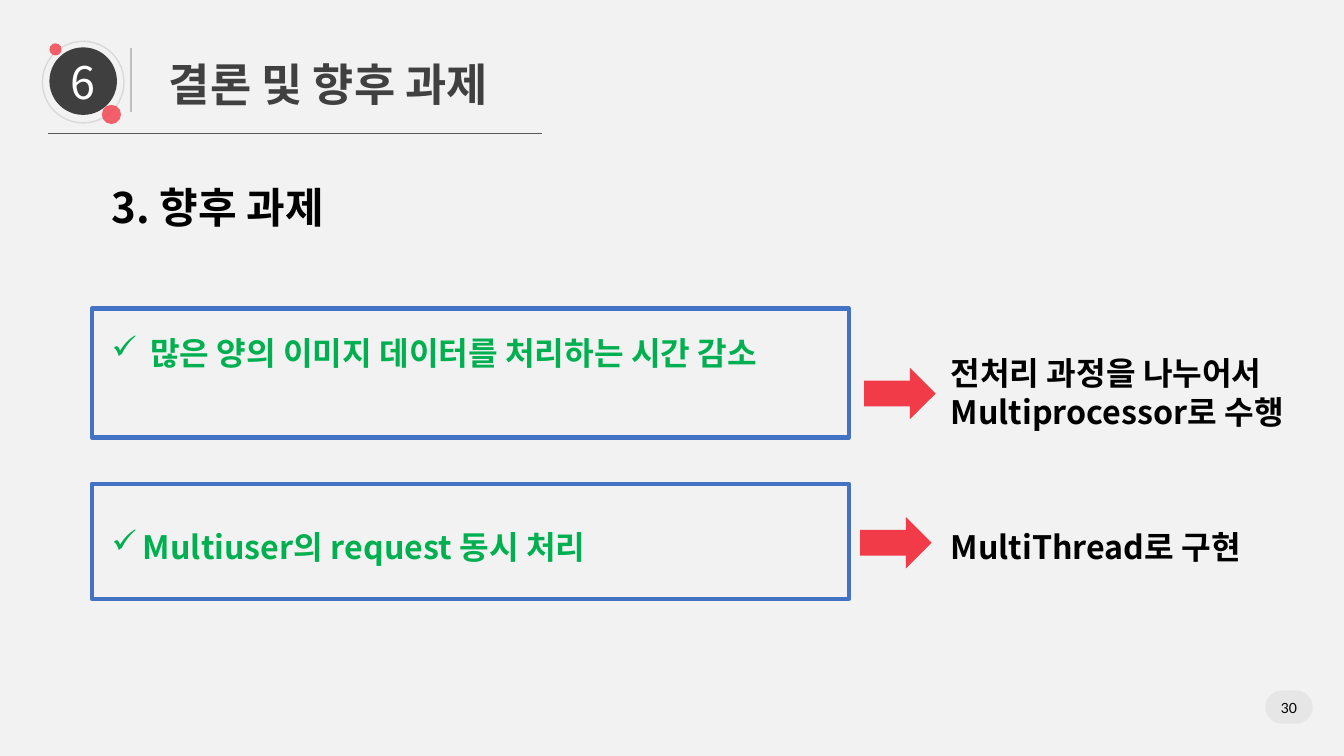
from dataclasses import dataclass

import pptx
import pptx.dml.color
import pptx.enum.shapes
import pptx.enum.text
import pptx.oxml
import pptx.oxml.ns
import pptx.util

Inches = pptx.util.Inches
Shapes = pptx.enum.shapes.MSO_SHAPE
Align = pptx.enum.text.PP_ALIGN
Anchor = pptx.enum.text.MSO_ANCHOR
qn = pptx.oxml.ns.qn


@dataclass(frozen=True)
class Theme:
    background: str = "F2F2F2"
    title: str = "404040"
    badge: str = "3F3F3F"
    ring: str = "D9D9D9"
    divider: str = "BFBFBF"
    underline: str = "595959"
    accent: str = "F23B48"
    frame: str = "4472C4"
    task: str = "00B050"
    pill: str = "E7E6E6"
    ink: str = "000000"
    white: str = "FFFFFF"
    korean: str = "Noto Sans CJK KR"
    body: str = "Noto Sans CJK SC"
    number: str = "Lato"
    title_size: int = 32
    heading_size: int = 30
    task_size: int = 23
    number_size: int = 10


THEME = Theme()


def rgb(value):
    return pptx.dml.color.RGBColor.from_string(value)


def add_child(parent, tag, **attributes):
    child = parent.makeelement(qn(tag), attributes)
    parent.append(child)
    return child


def write(frame, text, *, size, color, font=THEME.body, bold=False,
          align=Align.LEFT, anchor=Anchor.TOP, hanging=0):
    frame.word_wrap = True
    frame.vertical_anchor = anchor
    para = frame.paragraphs[0]
    para.alignment = align
    if hanging:
        properties = para._p.get_or_add_pPr()
        properties.set("marL", str(Inches(hanging)))
        properties.set("indent", str(-Inches(hanging)))
        add_child(properties, "a:buChar", char="✓")
    span = para.add_run()
    span.text = text
    span.font.size = pptx.util.Pt(size)
    span.font.bold = bold
    span.font.color.rgb = rgb(color)
    span.font.name = font
    add_child(span._r.get_or_add_rPr(), "a:ea", typeface=font)


def add_text(page, box, text, **style):
    frame = page.shapes.add_textbox(*map(Inches, box)).text_frame
    write(frame, text, **style)
    return frame


def add_shape(shapes, kind, box, *, fill=None, line=None, width=1, alpha=None):
    shape = shapes.add_shape(kind, *map(Inches, box))
    shape.shadow.inherit = False
    if fill:
        shape.fill.solid()
        shape.fill.fore_color.rgb = rgb(fill)
        if alpha:
            color = shape._element.spPr.find(qn("a:solidFill"))[0]
            add_child(color, "a:alpha", val=str(alpha * 1000))
    else:
        shape.fill.background()
    if line:
        shape.line.color.rgb = rgb(line)
        shape.line.width = pptx.util.Pt(width)
    else:
        shape.line.fill.background()
    return shape


def add_line(page, start, end, color, width):
    line = page.shapes.add_connector(
        pptx.enum.shapes.MSO_CONNECTOR.STRAIGHT, *map(Inches, start + end))
    line.line.color.rgb = rgb(color)
    line.line.width = pptx.util.Pt(width)
    add_child(line._element.spPr, "a:effectLst")


def add_badge(page, box, text):
    left, top, side = box
    group = page.shapes.add_group_shape().shapes
    disc = add_shape(group, Shapes.OVAL,
                     (left + 0.07, top + 0.06, side - 0.14, side - 0.14),
                     fill=THEME.badge)
    frame = disc.text_frame
    frame.margin_left = frame.margin_right = 0
    write(frame, text, size=THEME.title_size, color=THEME.white,
          align=Align.CENTER, anchor=Anchor.MIDDLE)
    add_shape(group, Shapes.OVAL, (left, top, side, side), line=THEME.ring)
    for across, down, dot in ((0.59, 0.63, 0.19), (0.07, 0.02, 0.12)):
        add_shape(group, Shapes.OVAL, (left + across, top + down, dot, dot),
                  fill=THEME.accent, alpha=80)


def add_header(page, box, number, title):
    left, top, width, height = box
    add_text(page, (left - 0.2, top + 0.1, 6.08, 0.64), title,
             size=THEME.title_size, color=THEME.title, font=THEME.korean,
             bold=True, align=Align.CENTER)
    add_badge(page, (left, top, 0.81), number)
    add_line(page, (left + 0.88, top + 0.07), (left + 0.88, top + 0.7),
             THEME.divider, 1)
    bottom = top + height
    add_line(page, (left + 0.06, bottom), (left + width, bottom),
             THEME.underline, 0.5)


def add_task(page, box, task, answer, *, task_drop, hanging,
             arrow_offset, answer_drop, answer_height):
    left, top, width, height = box
    right = left + width
    across, down = arrow_offset
    style = dict(size=THEME.task_size, bold=True)
    add_shape(page.shapes, Shapes.RECTANGLE, box, line=THEME.frame, width=3)
    add_text(page, (left + 0.1, top + task_drop, width - 0.2, 0.49), task,
             color=THEME.task, font=THEME.korean, hanging=hanging, **style)
    add_shape(page.shapes, Shapes.RIGHT_ARROW,
              (right + across, top + down, 0.71, 0.51), fill=THEME.accent)
    add_text(page, (right + 0.91, top + answer_drop, 3.93, answer_height),
             answer, color=THEME.ink, **style)


def add_page_number(page, box, number):
    left, top, width, height = box
    pill = add_shape(page.shapes, Shapes.ROUNDED_RECTANGLE, box, fill=THEME.pill)
    pill.adjustments[0] = 0.5
    frame = add_text(page, (left, top + 0.09, width, 0.43), number,
                     size=THEME.number_size, color=THEME.ink,
                     font=THEME.number, align=Align.CENTER)
    frame.margin_left = frame.margin_right = 0
    frame.margin_top = frame.margin_bottom = 0


def main():
    deck = pptx.Presentation()
    deck.slide_width = Inches(13.33)
    deck.slide_height = Inches(7.5)
    page = deck.slides.add_slide(deck.slide_layouts[6])
    page.background.fill.solid()
    page.background.fill.fore_color.rgb = rgb(THEME.background)

    add_page_number(page, (12.55, 6.85, 0.47, 0.33), "30")
    add_header(page, (0.42, 0.41, 4.96, 0.91), "6", "결론 및 향후 과제")
    add_text(page, (1.01, 1.75, 7.71, 0.6), "3. 향후 과제",
             size=THEME.heading_size, color=THEME.ink, bold=True)
    add_task(page, (0.91, 3.06, 7.51, 1.28),
             "많은 양의 이미지 데이터를 처리하는 시간 감소",
             "전처리 과정을 나누어서 Multiprocessor로 수행",
             task_drop=0.2, hanging=0.38, arrow_offset=(0.15, 0.59),
             answer_drop=0.4, answer_height=0.88)
    add_task(page, (0.91, 4.8, 7.51, 1.14),
             "Multiuser의 request 동시 처리", "MultiThread로 구현",
             task_drop=0.38, hanging=0.31, arrow_offset=(0.11, 0.33),
             answer_drop=0.38, answer_height=0.49)
    deck.save("out.pptx")


if __name__ == "__main__":
    main()
